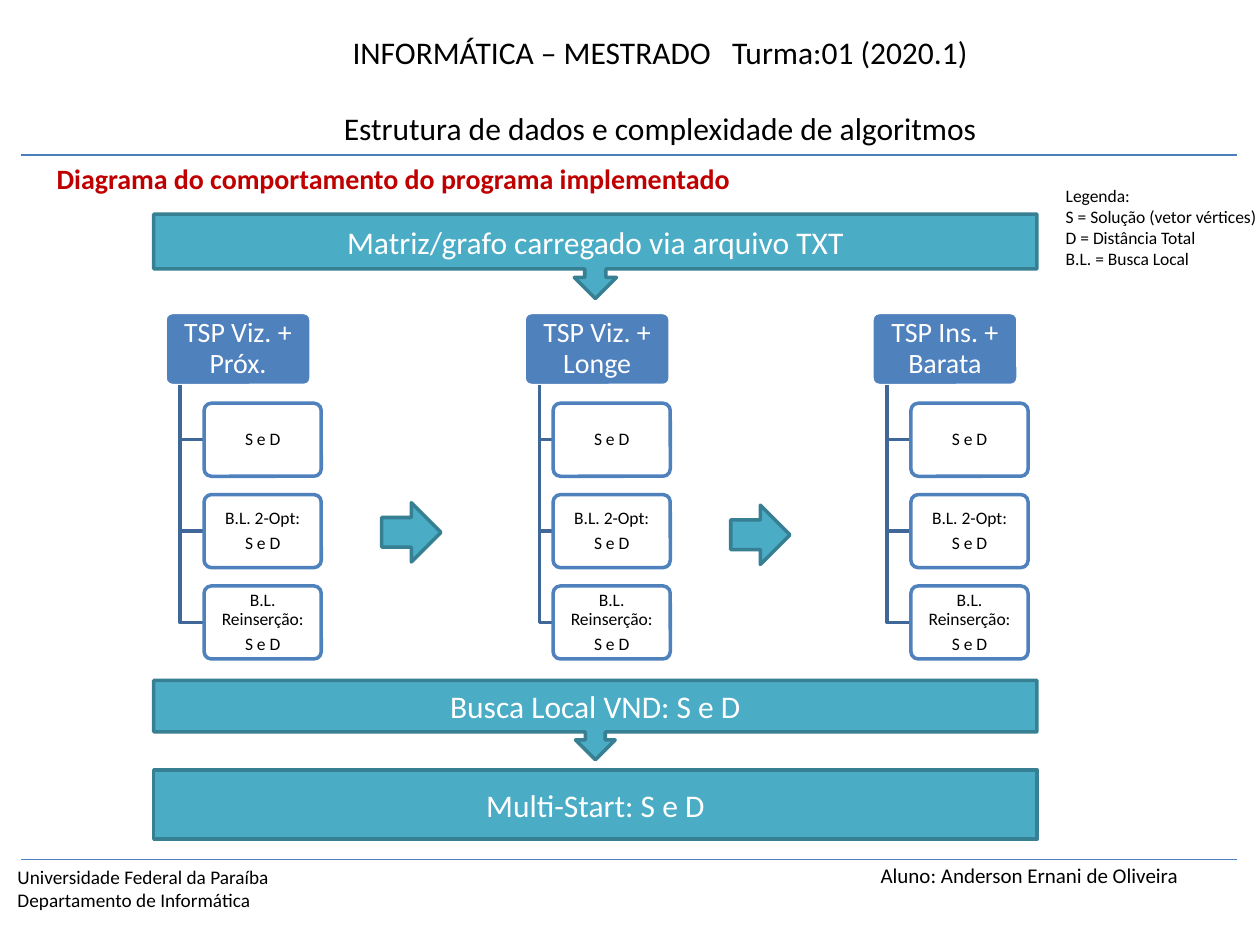
"""Build the slide that shows how the implemented routing program behaves."""
from lxml import etree
from pptx import Presentation
from pptx.dml.color import RGBColor
from pptx.enum.shapes import MSO_SHAPE
from pptx.enum.text import MSO_ANCHOR, MSO_AUTO_SIZE, PP_ALIGN
from pptx.oxml.ns import qn
from pptx.util import Inches, Pt

LEFT, CENTER, JUSTIFY = PP_ALIGN.LEFT, PP_ALIGN.CENTER, PP_ALIGN.JUSTIFY
TOP, MIDDLE = MSO_ANCHOR.TOP, MSO_ANCHOR.MIDDLE
ROUNDED, RIGHT_ARROW = MSO_SHAPE.ROUNDED_RECTANGLE, MSO_SHAPE.RIGHT_ARROW
CALLOUT, PROCESS = MSO_SHAPE.DOWN_ARROW_CALLOUT, MSO_SHAPE.FLOWCHART_PROCESS
BLUE, STEM, TEAL, DARK_TEAL = "4F81BD", "3F6797", "4BACC6", "377F92"


def paint(s, line, fill=None, width=2):
    s.line.color.rgb = RGBColor.from_string(line)
    s.line.width = Pt(width)
    if fill:
        s.shadow.inherit = False
        s.fill.solid()
        s.fill.fore_color.rgb = RGBColor.from_string(fill)


def write(s, text, size, color="000000", align=CENTER, anchor=TOP, bold=False,
          wrap=True, spacing=1, before=0, after=0, inset=None):
    tf = s.text_frame
    tf.word_wrap = wrap
    tf.auto_size = MSO_AUTO_SIZE.NONE
    tf.vertical_anchor = anchor
    if inset is not None:
        tf.margin_left = tf.margin_right = Inches(inset)
        tf.margin_top = tf.margin_bottom = Inches(inset)
    for i, line in enumerate(text.split("\n")):
        p = tf.add_paragraph() if i else tf.paragraphs[0]
        p.alignment = align
        p.line_spacing = spacing
        p.space_before = Pt(before if i else 0)
        p.space_after = Pt(after)
        r = p.add_run()
        r.text = line
        r.font.name = "Calibri"
        r.font.size = Pt(size)
        r.font.bold = bold
        r.font.color.rgb = RGBColor.from_string(color)


prs = Presentation()
prs.slide_width, prs.slide_height = Inches(10), Inches(7.5)
slide = prs.slides.add_slide(prs.slide_layouts[5])
shapes = slide.shapes

for y in (1.23, 6.82):
    s = shapes.add_connector(1, Inches(0.17), Inches(y), Inches(9.82), Inches(y))
    paint(s, "4B7EBC", width=0.75)
    etree.SubElement(s._element.spPr, qn("a:effectLst"))

title = shapes.title
title.left, title.top = Inches(0.35), Inches(1.23)
title.width, title.height = Inches(9.45), Inches(0.37)
write(title, "Diagrama do comportamento do programa implementado", 16,
      color="C00000", align=JUSTIFY, bold=True)

labels = [
    (0.04, 6.82, 2.22, 0.47, "Universidade Federal da Paraíba\nDepartamento de Informática",
     {"size": 11, "align": LEFT, "wrap": False}),
    (2.57, 0.21, 5.34, 1.01, "INFORMÁTICA – MESTRADO   Turma:01 (2020.1)\n"
     "Estrutura de dados e complexidade de algoritmos",
     {"size": 18, "wrap": False, "before": 22}),
    (6.89, 6.8, 2.91, 0.3, "Aluno: Anderson Ernani de Oliveira",
     {"size": 12, "align": JUSTIFY}),
    (8.36, 1.42, 1.85, 0.77, "Legenda:\nS = Solução (vetor vértices)\n"
     "D = Distância Total\nB.L. = Busca Local", {"size": 10, "align": JUSTIFY}),
]
for x, y, w, h, text, style in labels:
    s = shapes.add_textbox(Inches(x), Inches(y), Inches(w), Inches(h))
    write(s, text, **style)

columns = [
    (1.31, 1.62, "TSP Viz. + Próx."),
    (4.16, 4.39, "TSP Viz. + Longe"),
    (6.92, 7.23, "TSP Ins. + Barata"),
]
steps = ["S e D", "B.L. 2-Opt:\nS e D", "B.L. Reinserção:\nS e D"]
box_h = 0.58
for head_x, step_x, heading in columns:
    s = shapes.add_shape(ROUNDED, Inches(head_x), Inches(2.48), Inches(1.16), Inches(box_h))
    s.adjustments[0] = 0.1
    paint(s, "FFFFFF", BLUE)
    write(s, heading, 16, color="FFFFFF", anchor=MIDDLE, spacing=0.9, inset=0.04)
    stem_x = head_x + 0.12
    for i, step in enumerate(steps):
        y = 3.2 + i * 0.725
        mid = y + box_h / 2
        path = shapes.build_freeform(Inches(stem_x), Inches(3.06))
        path.add_line_segments([(Inches(stem_x), Inches(mid)), (Inches(step_x), Inches(mid))],
                               close=False)
        s = path.convert_to_shape()
        s.shadow.inherit = False
        s.fill.background()
        paint(s, STEM)
        s = shapes.add_shape(ROUNDED, Inches(step_x), Inches(y), Inches(0.93), Inches(box_h))
        s.adjustments[0] = 0.1
        paint(s, BLUE, "FFFFFF")
        write(s, step, 10, anchor=MIDDLE, spacing=0.9, after=3.5, inset=0.03)

for x, y in ((3.03, 3.99), (5.8, 4.01)):
    s = shapes.add_shape(RIGHT_ARROW, Inches(x), Inches(y), Inches(0.47), Inches(0.47))
    paint(s, DARK_TEAL, TEAL)

stages = [
    (CALLOUT, 1.7, 0.67, "Matriz/grafo carregado via arquivo TXT"),
    (CALLOUT, 5.4, 0.63, "Busca Local VND: S e D"),
    (PROCESS, 6.11, 0.55, "Multi-Start: S e D"),
]
for kind, y, h, text in stages:
    s = shapes.add_shape(kind, Inches(1.22), Inches(y), Inches(7.01), Inches(h))
    paint(s, DARK_TEAL, TEAL)
    write(s, text, 18, color="FFFFFF", anchor=MIDDLE)

prs.save("out.pptx")
